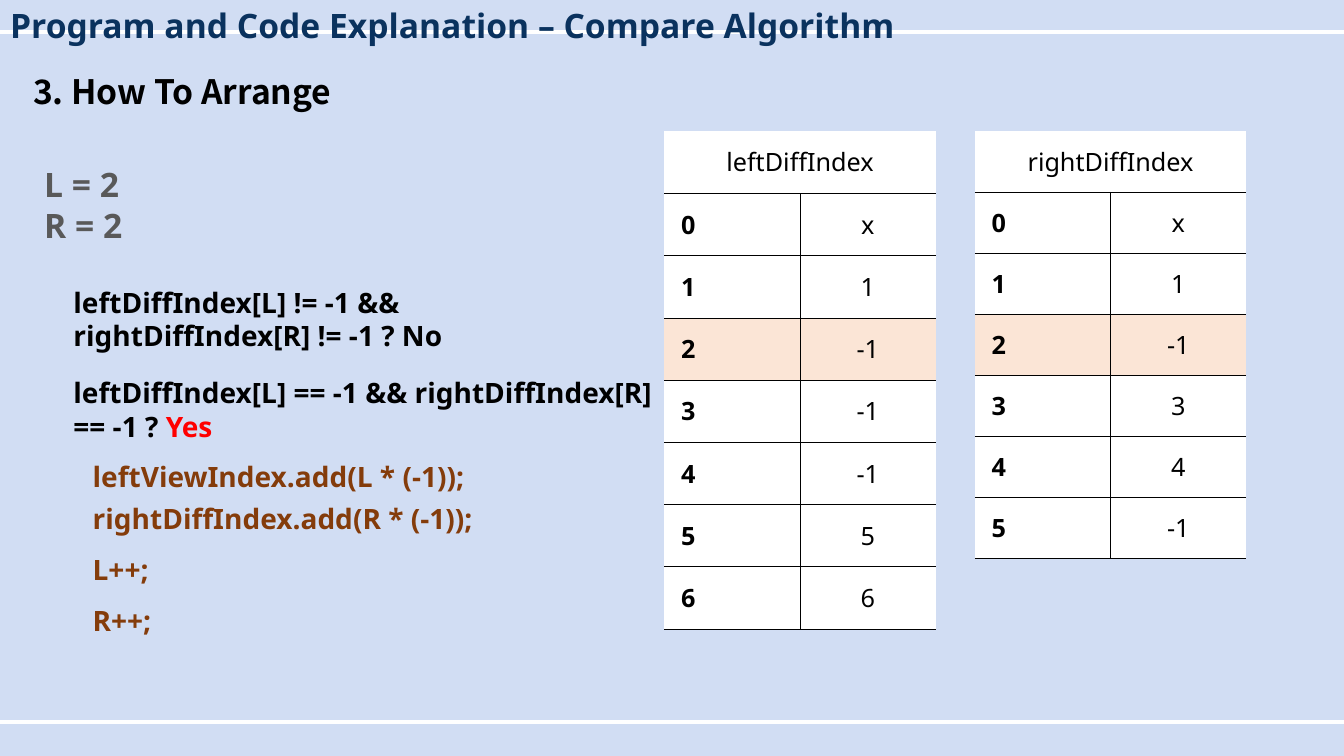
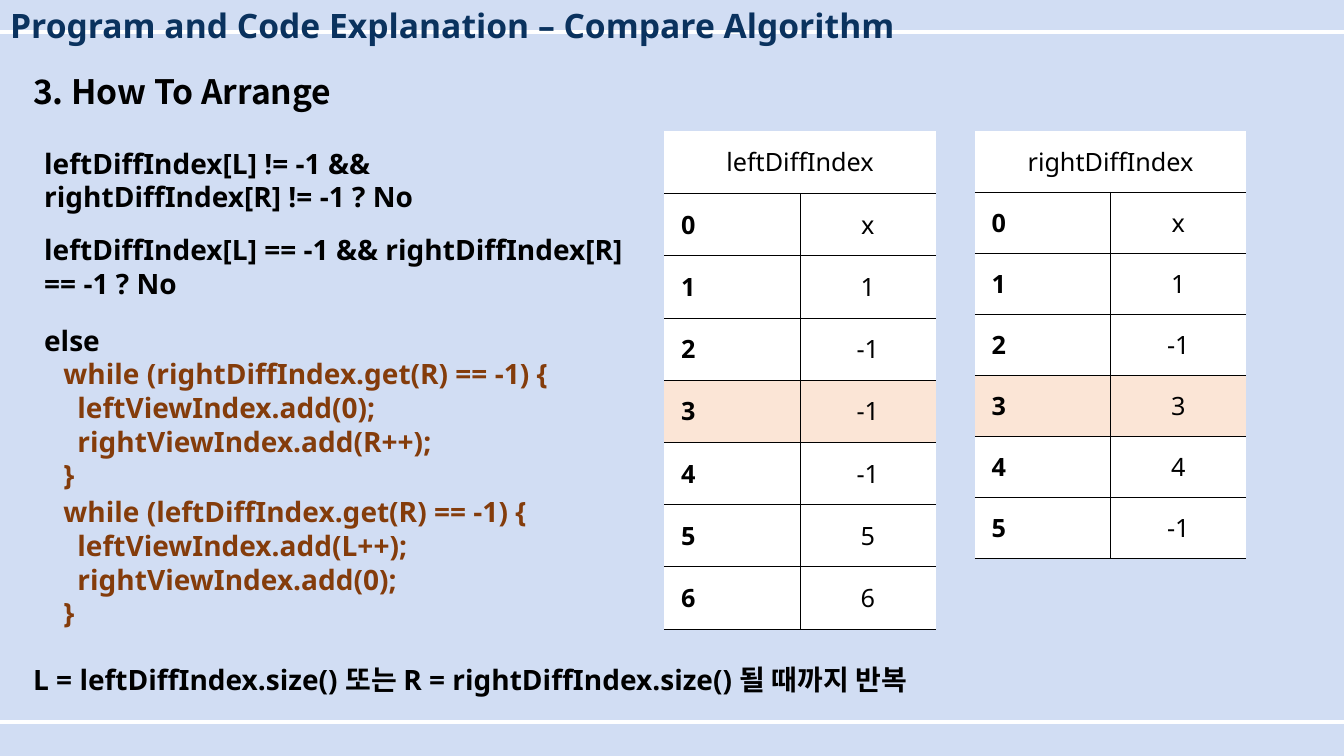
from lxml import etree
from pptx import Presentation
from pptx.dml.color import RGBColor
from pptx.enum import shapes, text
from pptx.oxml.ns import qn
from pptx.util import Inches, Pt

FONT, KOREAN_FONT = "Noto Sans", "Noto Sans CJK KR"
BACKGROUND, WHITE, BLACK = "D1DDF3", "FFFFFF", "000000"
NAVY, GRAY, BROWN, RED, PEACH = "0A325E", "595959", "843C0B", "FF0000", "FBE5D6"
NO_STYLE = "{2D5ABB26-0587-4C30-8999-92F81FD0307C}"
TITLE = "Program and Code Explanation – Compare Algorithm"
SECTION = "3. How To Arrange"
BOTH_VALID = "leftDiffIndex[L] != -1 && rightDiffIndex[R] != -1 ? "
BOTH_CHANGED = "leftDiffIndex[L] == -1 && rightDiffIndex[R] == -1 ? "
LEFT_VALUES = ["x", "1", "-1", "-1", "-1", "5", "6"]
RIGHT_VALUES = ["x", "1", "-1", "3", "4", "-1"]


def rgb(color):
    return RGBColor.from_string(color)


def format_run(r, size, color, bold=True, font=FONT):
    r.font.name = font
    r.font.size = Pt(size)
    r.font.bold = bold
    r.font.color.rgb = rgb(color)
    ea = etree.SubElement(r.font._element, qn("a:ea"))
    ea.set("typeface", KOREAN_FONT)


def format_text(tf, *style, **options):
    for p in tf.paragraphs:
        for r in p.runs:
            format_run(r, *style, **options)


def place(sp, x, y, w, h):
    sp.left, sp.top, sp.width, sp.height = map(Inches, (x, y, w, h))


def add_text(s, x, y, w, h, content, size=20, color=BLACK, font=FONT):
    sp = s.shapes.add_textbox(Inches(x), Inches(y), Inches(w), Inches(h))
    tf = sp.text_frame
    tf.word_wrap = True
    tf.text = content
    format_text(tf, size, color, font=font)
    return tf


def add_rule(s, y):
    line = s.shapes.add_connector(shapes.MSO_CONNECTOR.STRAIGHT, 0, Inches(y),
                                  Inches(13.33), Inches(y))
    line.line.color.rgb = rgb(WHITE)
    line.line.width = Pt(3)
    etree.SubElement(line.element.spPr, qn("a:effectLst"))


def add_base_slide(prs):
    """Add a slide with the shared rules, title and section heading."""
    s = prs.slides.add_slide(prs.slide_layouts[5])
    for y in (0.32, 7.16):
        add_rule(s, y)
    title = s.shapes.title
    s.shapes.element.append(title.element)  # title in front of the rules
    place(title, 0, 0, 11.02, 0.5)
    tf = title.text_frame
    tf.text = TITLE
    tf.vertical_anchor = text.MSO_ANCHOR.TOP
    tf.auto_size = text.MSO_AUTO_SIZE.NONE
    tf.paragraphs[0].alignment = text.PP_ALIGN.LEFT
    format_text(tf, 24, NAVY)
    add_text(s, 0.23, 0.65, 8.28, 0.5, SECTION, 24, font=KOREAN_FONT)
    return s


def add_border(cell, side):
    """Draw one thin black side: lnL or lnB."""
    ln = etree.Element(qn("a:" + side), w=str(Pt(0.25)))
    fill = etree.SubElement(ln, qn("a:solidFill"))
    etree.SubElement(fill, qn("a:srgbClr"), val=BLACK)
    return ln


def format_cell(cell, content, fill=WHITE, is_index=False, sides=("lnB",)):
    cell.text = content
    cell.vertical_anchor = text.MSO_ANCHOR.MIDDLE
    cell.fill.solid()
    cell.fill.fore_color.rgb = rgb(fill)
    if is_index:
        cell.margin_left = Inches(0.165)
    else:
        cell.text_frame.paragraphs[0].alignment = text.PP_ALIGN.CENTER
    format_text(cell.text_frame, 18, BLACK, bold=is_index)
    tc_pr = cell._tc.get_or_add_tcPr()
    for i, side in enumerate(sides):
        tc_pr.insert(i, add_border(cell, side))


def add_index_table(s, x, y, w, h, name, values, current):
    """List the values by index and highlight the current one."""
    rows = len(values) + 1
    frame = s.shapes.add_table(rows, 2, Inches(x), Inches(y), Inches(w), Inches(h))
    for style in frame.element.iter(qn("a:tableStyleId")):
        style.text = NO_STYLE
    table = frame.table
    table.first_row = table.horz_banding = False
    for row in table.rows:
        row.height = Inches(h / rows)
    table.cell(0, 0).merge(table.cell(0, 1))
    format_cell(table.cell(0, 0), name)
    format_cell(table.cell(0, 1), "")
    for i, value in enumerate(values):
        fill = PEACH if i == current else WHITE
        format_cell(table.cell(i + 1, 0), str(i), fill, is_index=True)
        format_cell(table.cell(i + 1, 1), value, fill, sides=("lnL", "lnB"))


def add_tables(s, x, y, current):
    add_index_table(s, x, y, 2.69, 4.94, "leftDiffIndex", LEFT_VALUES, current)
    add_index_table(s, x + 3.08, y, 2.69, 4.24, "rightDiffIndex", RIGHT_VALUES, current)


def add_match_slide(prs):
    s = add_base_slide(prs)
    add_text(s, 0.34, 1.58, 3.72, 0.91, "L = 2\nR = 2", 24, GRAY)
    add_tables(s, 6.59, 1.3, current=2)
    add_text(s, 0.63, 2.78, 5.96, 0.77, BOTH_VALID + "No")
    tf = add_text(s, 0.63, 3.68, 5.96, 0.77, BOTH_CHANGED)
    r = tf.paragraphs[0].add_run()
    r.text = "Yes"
    format_run(r, 20, RED)
    steps = [(4.51, "     leftViewIndex.add(L * (-1));"),
             (4.93, "     rightDiffIndex.add(R * (-1));"),
             (5.43, "     L++;"),
             (5.94, "     R++;")]
    for y, code in steps:
        add_text(s, 0.46, y, 4.83, 0.44, code, color=BROWN)


def add_else_slide(prs):
    s = add_base_slide(prs)
    for y, h, content in [(1.4, 0.77, BOTH_VALID + "No"),
                          (2.26, 0.77, BOTH_CHANGED + "No"),
                          (3.16, 0.44, "else")]:
        add_text(s, 0.34, y, 5.96, h, content)
    for y, name, left, right in [(3.49, "rightDiffIndex", "0", "R++"),
                                 (4.86, "leftDiffIndex", "L++", "0")]:
        code = (f"     while ({name}.get(R) == -1) {{\n"
                f"\tleftViewIndex.add({left});\n"
                f"\trightViewIndex.add({right});\n"
                "     }")
        add_text(s, 0.17, y, 6.13, 1.45, code, color=BROWN)
    add_text(s, 0.23, 6.52, 9.76, 0.44,
             "L = leftDiffIndex.size() 또는 R = rightDiffIndex.size() 될 때까지 반복")
    add_tables(s, 6.59, 1.3, current=3)


def main():
    prs = Presentation()
    prs.slide_width, prs.slide_height = Inches(13.33), Inches(7.5)
    fill = prs.slide_master.background.fill
    fill.solid()
    fill.fore_color.rgb = rgb(BACKGROUND)
    add_match_slide(prs)
    add_else_slide(prs)
    prs.save("out.pptx")


if __name__ == "__main__":
    main()
